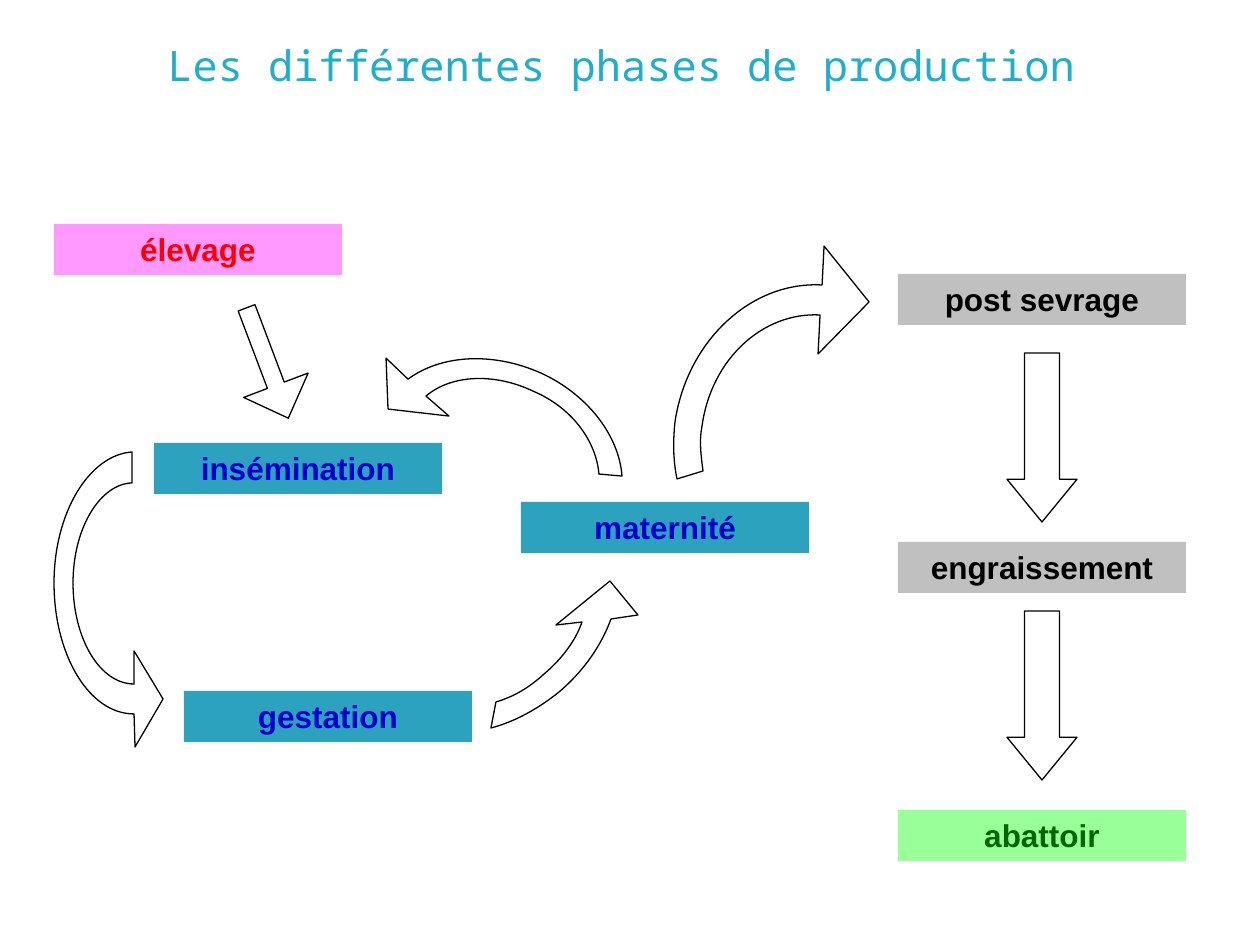
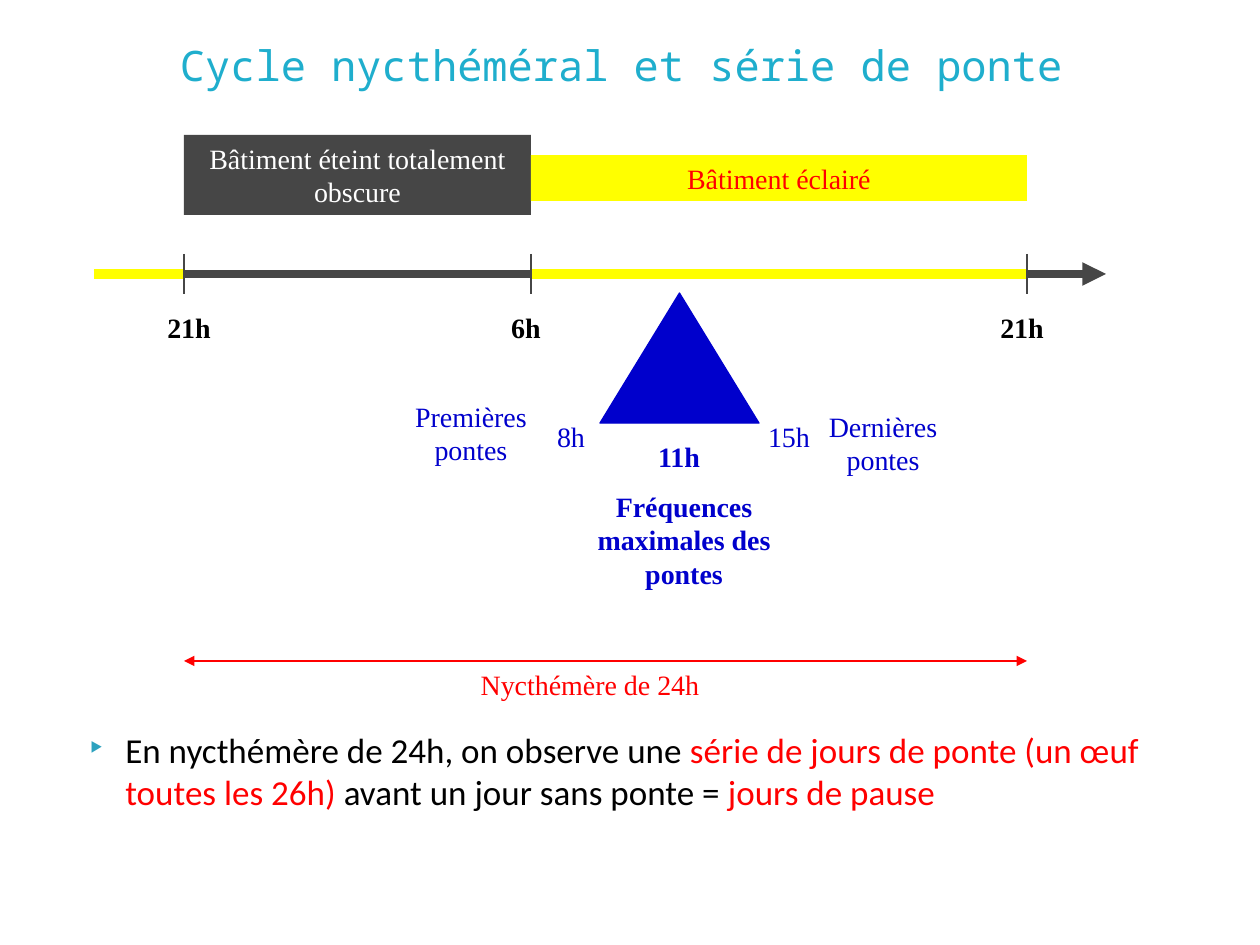
"""Build two slides on animal production phases and the laying cycle."""
import math
import pptx
import pptx.util
import pptx.dml.color
import pptx.enum.shapes
import pptx.enum.text
import pptx.oxml.ns
from lxml import etree

PX = 914400 / 126
KIND = pptx.enum.shapes.MSO_SHAPE
ALIGN = pptx.enum.text.PP_ALIGN
ANCHOR = pptx.enum.text.MSO_ANCHOR
BLUE, TEAL, RED, YELLOW = "0000CC", "2DA2BF", "FF0000", "FFFF00"
DARK, GREY, BLACK, WHITE = "464646", "C0C0C0", "000000", "FFFFFF"
SERIF = "Times New Roman"

TITLES = ["Les différentes phases de production",
          "Cycle nycthéméral et série de ponte"]

PHASES = [
    ("gestation", 184, 691, TEAL, BLUE),
    ("insémination", 154, 443, TEAL, BLUE),
    ("maternité", 521, 502, TEAL, BLUE),
    ("post sevrage", 898, 274, GREY, BLACK),
    ("engraissement", 898, 542, GREY, BLACK),
    ("élevage", 54, 224, "FF99FF", RED),
    ("abattoir", 898, 810, "99FF99", "006600"),
]
CURVES = [
    ((3, 504, 262, 159), 90, [
        (134, 684), (100, 684, 73, 639, 73, 583),
        (73, 528, 100, 484, 132, 483), (132, 452),
        (89, 455, 54, 513, 54, 583), (54, 655, 89, 714, 134, 714),
        (135, 747), (163, 699), (134, 651)]),
    ((382, 552, 252, 159), 319.6, [
        (582, 622), (576, 640, 562, 659, 544, 674),
        (529, 688, 513, 697, 496, 702), (491, 728),
        (514, 722, 538, 709, 559, 692), (585, 670, 602, 644, 611, 619),
        (638, 615), (610, 581), (556, 625)]),
    ((655, 304, 314, 276), 98.1, [
        (820, 315), (762, 312, 711, 360, 702, 426),
        (699, 441, 701, 456, 703, 471), (677, 479),
        (673, 460, 673, 441, 675, 422), (687, 341, 751, 281, 822, 285),
        (824, 246), (869, 302), (818, 354)]),
    ((372, 363, 255, 199), 204.7, [
        (426, 396), (452, 374, 495, 373, 533, 391),
        (571, 407, 596, 440, 599, 474), (622, 476),
        (619, 435, 587, 394, 541, 373), (494, 352, 442, 354, 408, 379),
        (386, 358), (388, 409), (449, 416)]),
]
ARROWS = [
    ((233, 304, 69, 118), 339.3, (0.26, 0.51)),
    ((1007, 353, 70, 169), 0, (0.5, 0.61)),
    ((1007, 611, 70, 169), 0, (0.5, 0.61)),
]

DUSK, DAWN, NIGHT = 184, 531, 1027
AXIS = 274
HOURS = [(DUSK, 134, "21h"), (DAWN, 471, "6h"), (NIGHT, 967, "21h")]
BANDS = [
    ("Bâtiment éteint totalement obscure", DUSK, DAWN, 135, 80, DARK, WHITE),
    ("Bâtiment éclairé", DAWN, NIGHT, 155, 46, YELLOW, RED),
]
LABELS = [
    ("8h", (512, 413, 118, 46), BLUE, False),
    ("15h", (730, 413, 118, 46), BLUE, False),
    ("11h", (620, 433, 118, 46), BLUE, True),
    ("Premières pontes", (402, 393, 138, 80), BLUE, False),
    ("Dernières pontes", (779, 403, 208, 80), BLUE, False),
    ("Fréquences maximales des pontes", (580, 483, 208, 114), BLUE, True),
    ("Nycthémère de 24h", (302, 661, 576, 46), RED, False),
]
NOTE = [
    ("En nycthémère de 24h, on observe une ", BLACK),
    ("série de jours de ponte (un œuf toutes les 26h)", RED),
    (" avant un jour sans ponte = ", BLACK),
    ("jours de pause", RED),
]


def emu(*px):
    return [round(n * PX) for n in px]


def hue(code):
    return pptx.dml.color.RGBColor.from_string(code)


def node(base, tag, **attrs):
    return etree.SubElement(base, pptx.oxml.ns.qn(tag), attrs)


def paint(shape, fill=None, line=None):
    shape.shadow.inherit = False
    if fill:
        shape.fill.solid()
        shape.fill.fore_color.rgb = hue(fill)
    else:
        shape.fill.background()
    if line:
        shape.line.color.rgb = hue(line)
        shape.line.width = pptx.util.Pt(0.75)
    else:
        shape.line.fill.background()
    return shape


def form(slide, kind, box, **look):
    return paint(slide.shapes.add_shape(kind, *emu(*box)), **look)


def write(slide, text, box, size=16, font=SERIF, ink=BLACK, bold=False,
          fill=None, align=ALIGN.CENTER, anchor=ANCHOR.TOP):
    if fill:
        shape = form(slide, KIND.RECTANGLE, box, fill=fill)
    else:
        shape = slide.shapes.add_textbox(*emu(*box))
    frame = shape.text_frame
    frame.word_wrap = True
    frame.vertical_anchor = anchor
    para = frame.paragraphs[0]
    para.alignment = align
    for part, tint in [(text, ink)] if isinstance(text, str) else text:
        run = para.add_run()
        run.text = part
        run.font.size = pptx.util.Pt(size)
        run.font.name = font
        run.font.bold = bold
        run.font.color.rgb = hue(tint)
    return para


def rule(slide, ends, ink, width=0.75, tips=()):
    line = slide.shapes.add_connector(
        pptx.enum.shapes.MSO_CONNECTOR.STRAIGHT, *emu(*ends))
    line.line.color.rgb = hue(ink)
    line.line.width = pptx.util.Pt(width)
    for tip in tips:
        node(line.line._get_or_add_ln(), tip, type="triangle")
    node(line._element.spPr, "a:effectLst")


def unturn(dot, box, turn):
    left, top, wide, high = box
    x, y = dot[0] - left - wide / 2, dot[1] - top - high / 2
    cos, sin = math.cos(math.radians(turn)), math.sin(math.radians(turn))
    return emu(x * cos + y * sin + wide / 2, y * cos - x * sin + high / 2)


def sweep(slide, box, turn, steps):
    left, top, wide, high = box
    pen = slide.shapes.build_freeform(*emu(left, top))
    pen.add_line_segments([emu(left + wide, top),
                           emu(left + wide, top + high),
                           emu(left, top + high)])
    shape = paint(pen.convert_to_shape(), line=BLACK)
    shape.rotation = turn
    track = next(shape._element.iter(pptx.oxml.ns.qn("a:path")))
    for old in list(track):
        track.remove(old)
    for i, step in enumerate(steps):
        tag = "a:cubicBezTo" if len(step) == 6 else "a:lnTo"
        move = node(track, tag if i else "a:moveTo")
        for dot in zip(step[::2], step[1::2]):
            x, y = unturn(dot, box, turn)
            node(move, "a:pt", x=str(x), y=str(y))
    node(track, "a:close")


def start(deck, title):
    slide = deck.slides.add_slide(deck.slide_layouts[6])
    write(slide, title, (54, 16, 1134, 97), size=24, font="Noto Sans Mono",
          ink="1FAECD", anchor=ANCHOR.MIDDLE)
    return slide


def draw_phases(slide):
    for name, x, y, fill, ink in PHASES:
        write(slide, name, (x, y, 288, 51), size=18, font="Arial",
              ink=ink, bold=True, fill=fill)
    for curve in CURVES:
        sweep(slide, *curve)
    for box, turn, bends in ARROWS:
        arrow = form(slide, KIND.DOWN_ARROW, box, line=BLACK)
        arrow.rotation = turn
        for i, bend in enumerate(bends):
            arrow.adjustments[i] = bend


def draw_cycle(slide):
    rule(slide, (94, AXIS, 1106, AXIS), DARK, 4.5, ["a:tailEnd"])
    for left, right in [(94, DUSK), (DAWN, NIGHT)]:
        rule(slide, (left, AXIS, right, AXIS), YELLOW, 6)
    for x, left, hour in HOURS:
        rule(slide, (x, AXIS - 20, x, AXIS + 20), DARK)
        write(slide, hour, (left, 304, 110, 46), bold=True)
    for text, left, right, top, high, fill, ink in BANDS:
        write(slide, text, (left, top, right - left, high), ink=ink, fill=fill)
    form(slide, KIND.ISOSCELES_TRIANGLE, (600, 293, 159, 130),
         fill=BLUE, line=BLUE)
    for text, box, ink, bold in LABELS:
        write(slide, text, box, ink=ink, bold=bold)
    rule(slide, (DUSK, 661, NIGHT, 661), RED, tips=["a:headEnd", "a:tailEnd"])
    para = write(slide, NOTE, (63, 722, 1134, 122), size=20, font="Calibri",
                 align=ALIGN.LEFT)
    props = para._p.get_or_add_pPr()
    props.set("marL", str(emu(50)[0]))
    props.set("indent", str(emu(-35)[0]))
    node(node(props, "a:buClr"), "a:srgbClr", val=TEAL)
    node(props, "a:buSzPct", val="40000")
    node(props, "a:buChar", char="▶")


def main():
    deck = pptx.Presentation()
    deck.slide_width, deck.slide_height = emu(1260, 945)
    for title, draw in zip(TITLES, (draw_phases, draw_cycle)):
        draw(start(deck, title))
    deck.save("out.pptx")


if __name__ == "__main__":
    main()
